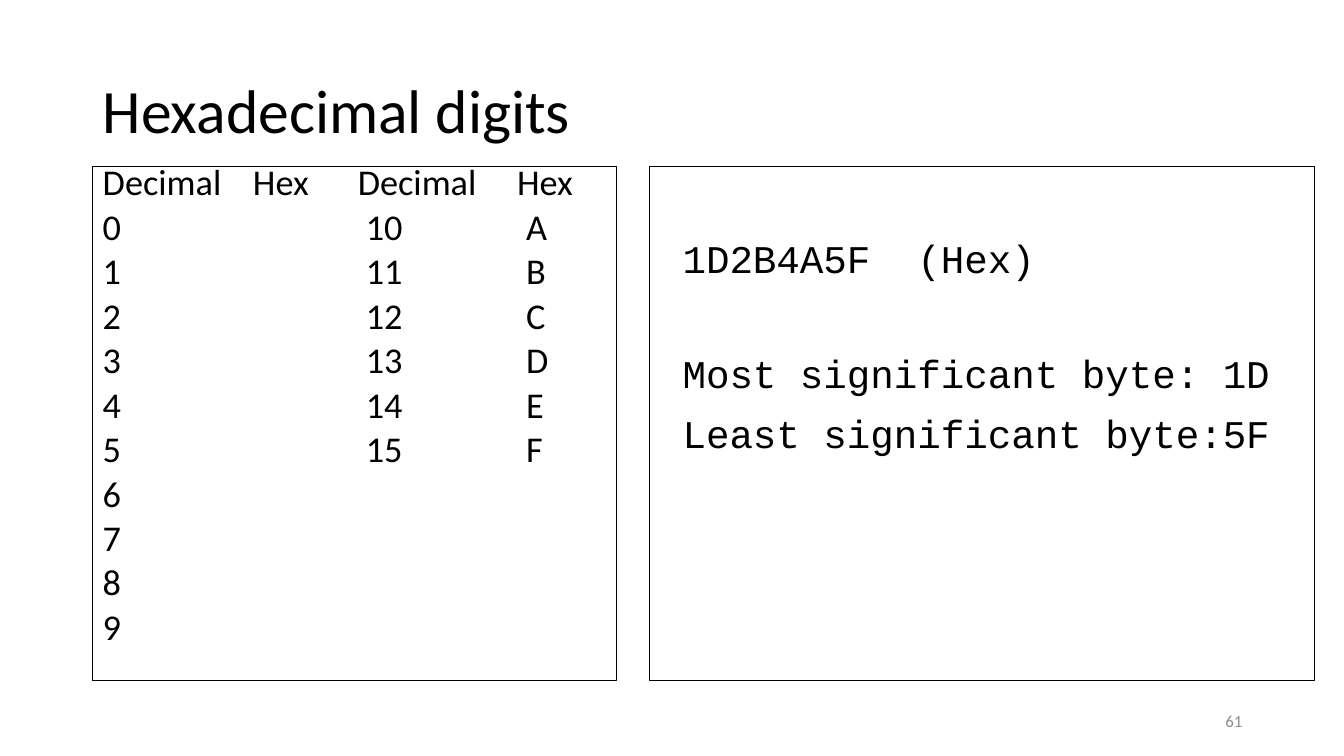
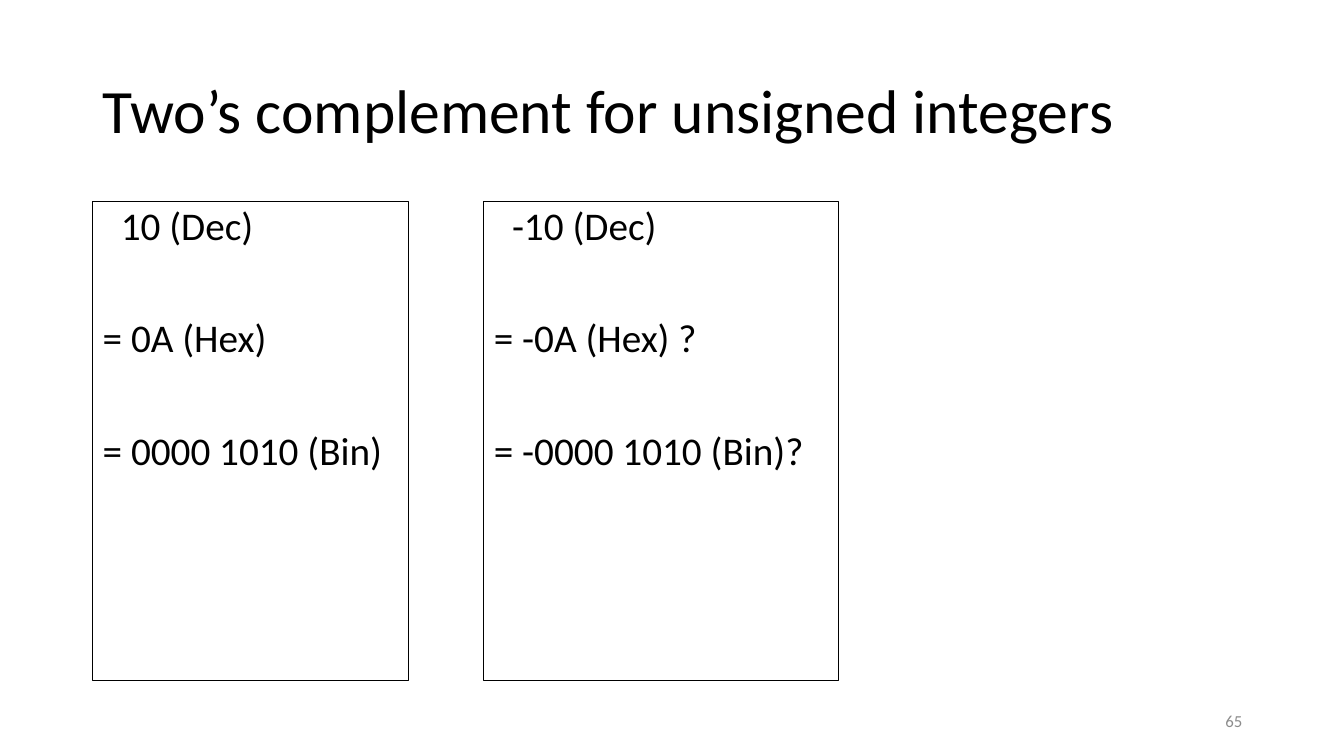
from lxml import etree
from pptx import Presentation
from pptx.dml.color import RGBColor
from pptx.enum import shapes, text
from pptx.oxml.ns import qn
from pptx.util import Inches, Pt

BLACK = RGBColor(0x00, 0x00, 0x00)
GREY = RGBColor(0x8C, 0x8C, 0x8C)
SANS, MONO = "Calibri", "Courier New"
LEFT = 0.92
PANEL_BOTTOM = 6.75


def add_text(tf, content, size=28, font=SANS, color=BLACK, align=text.PP_ALIGN.LEFT,
             spacing=0.9, before=0, indent=0, tabs=()):
    """Append one paragraph, filling the empty first one if there is one."""
    p = tf.paragraphs[0]
    first = not p.runs
    if not first:
        p = tf.add_paragraph()
    pPr = p._p.get_or_add_pPr()
    pPr.set("marL", str(Inches(indent)))
    if tabs:
        tab_list = etree.SubElement(pPr, qn("a:tabLst"))
        for pos in tabs:
            etree.SubElement(tab_list, qn("a:tab"), pos=str(Inches(pos)), algn="l")
    p.alignment = align
    p.line_spacing = spacing
    p.space_before = Pt(0 if first else before)
    r = p.add_run()
    r.text = content
    r.font.size, r.font.name, r.font.color.rgb = Pt(size), font, color
    return p


def add_panel(slide, left, top, width, inset_left=0.1, inset_top=0.05):
    """Outlined box running down to the common bottom edge; returns its text frame."""
    sp = slide.shapes.add_shape(shapes.MSO_SHAPE.RECTANGLE, Inches(left), Inches(top),
                                Inches(width), Inches(PANEL_BOTTOM - top))
    sp.shadow.inherit = False
    sp.fill.background()
    sp.line.color.rgb, sp.line.width = BLACK, Pt(0.75)
    tf = sp.text_frame
    tf.word_wrap = True
    tf.vertical_anchor = text.MSO_ANCHOR.TOP
    tf.margin_left, tf.margin_top = Inches(inset_left), Inches(inset_top)
    return tf


def add_slide(prs, title, number):
    """Title-only slide with the shared title style and page number."""
    s = prs.slides.add_slide(prs.slide_layouts[5])
    sp = s.shapes.title
    sp.left, sp.top, sp.width, sp.height = map(Inches, (LEFT, 0.4, 11.5, 1.45))
    sp.text_frame.vertical_anchor = text.MSO_ANCHOR.MIDDLE
    sp.text_frame.auto_size = text.MSO_AUTO_SIZE.NONE
    add_text(sp.text_frame, title, size=44)

    box = s.shapes.add_textbox(Inches(9.42), Inches(6.95), Inches(3), Inches(0.4))
    box.text_frame.word_wrap = True
    box.text_frame.vertical_anchor = text.MSO_ANCHOR.MIDDLE
    add_text(box.text_frame, str(number), size=12, color=GREY,
             align=text.PP_ALIGN.RIGHT, spacing=1)
    return s


def digit_panel(slide, left, top, width):
    """Decimal digits, with the hex letters for 10 to 15 beside the first six."""
    tf = add_panel(slide, left, top, width)
    style = dict(size=25.9, spacing=0.7, before=10)
    add_text(tf, "Decimal\tHex\tDecimal\tHex", tabs=(1.49, 2.53, 4.11), **style)
    for digit in range(10):
        row = str(digit)
        if digit < 6:
            row += f"\t{digit + 10}\t{'ABCDEF'[digit]}"
        add_text(tf, row, tabs=(2.61, 4.2), **style)


def byte_panel(slide, left, top, width):
    """Most and least significant bytes of a hex number."""
    tf = add_panel(slide, left, top, width, inset_left=0.33, inset_top=0.73)
    add_text(tf, "1D2B4A5F\t(Hex)", font=MONO, tabs=(2.33,))
    add_text(tf, "Most significant byte: 1D", font=MONO, before=52)
    add_text(tf, "Least significant byte:5F", font=MONO, before=12)


def conversion_panel(slide, left, top, width, decimal, *equals):
    """A decimal number followed by its other notations."""
    tf = add_panel(slide, left, top, width)
    add_text(tf, decimal, indent=0.18)
    for line in equals:
        add_text(tf, "= " + line, before=50)


def main():
    prs = Presentation()
    prs.slide_width, prs.slide_height = Inches(13.33), Inches(7.5)

    s = add_slide(prs, "Hexadecimal digits", 61)
    digit_panel(s, LEFT, 1.65, 5.19)
    byte_panel(s, 6.44, 1.65, 6.6)

    s = add_slide(prs, "Two’s complement for unsigned integers", 65)
    conversion_panel(s, LEFT, 2, 3.13, "10 (Dec)", "0A (Hex)", "0000 1010 (Bin)")
    conversion_panel(s, 4.8, 2, 3.52, "-10 (Dec)", "-0A (Hex) ?", "-0000 1010 (Bin)?")

    prs.save("out.pptx")


if __name__ == "__main__":
    main()
